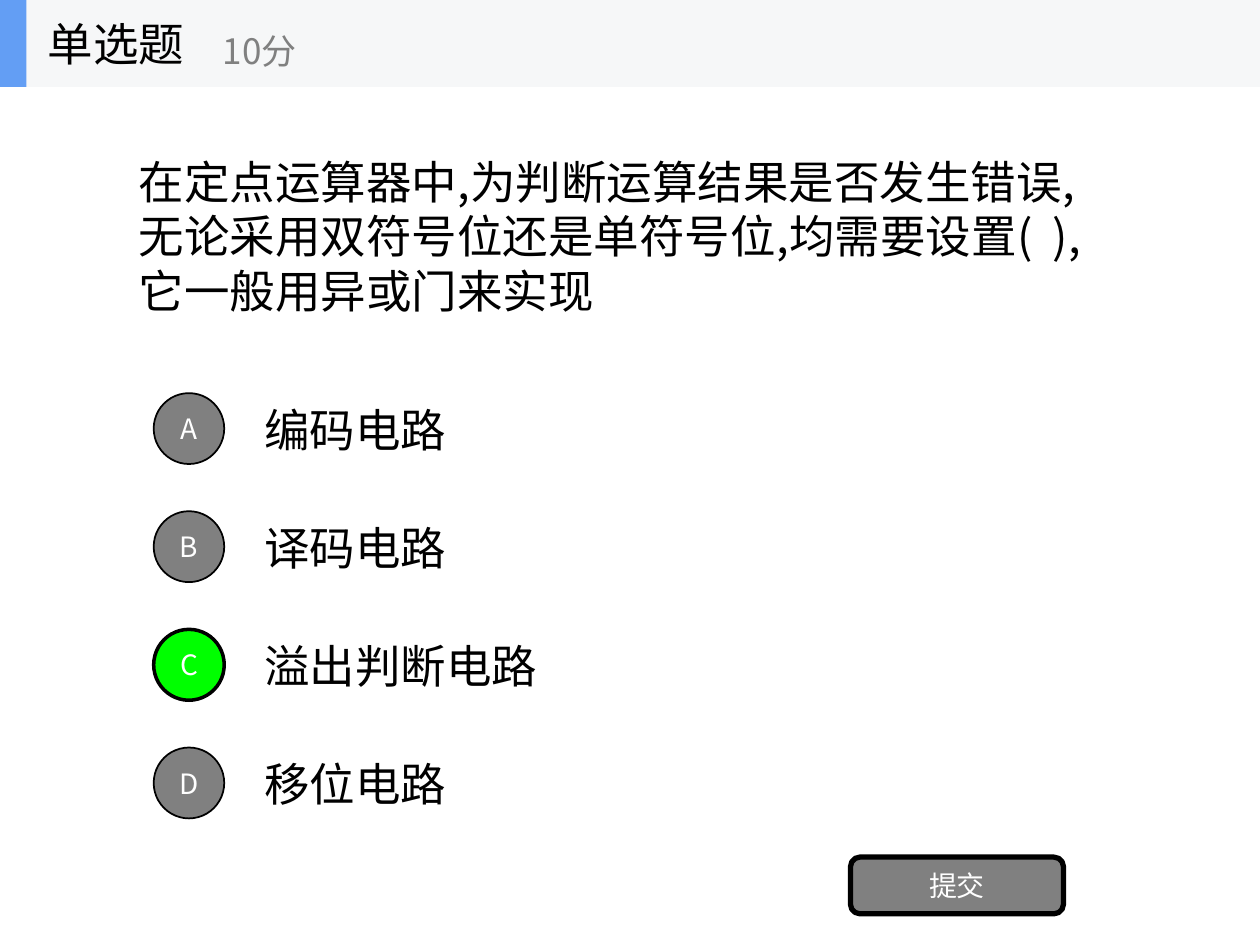
from dataclasses import dataclass
from lxml.etree import SubElement
from pptx import Presentation
from pptx.dml.color import RGBColor as Color
from pptx.enum.shapes import MSO_SHAPE as Preset
from pptx.enum.text import MSO_ANCHOR as Anchor, MSO_AUTO_SIZE as AutoSize, PP_ALIGN as Align
from pptx.oxml.ns import qn
from pptx.util import Inches, Pt


@dataclass(frozen=True)
class Theme:
    font: str = "Noto Sans CJK SC"
    ink: str = "000000"
    muted: str = "808080"
    light: str = "FFFFFF"
    correct: str = "00FF00"
    band: str = "F6F7F8"
    accent: str = "639EF4"
    large: int = 26
    medium: int = 20
    small: int = 16


THEME = Theme()
WIDTH, HEIGHT = Inches(10), Inches(7.5)
OPTIONS = ("编码电路", "译码电路", "溢出判断电路", "移位电路")
ANSWER = 2
FIRST_ROW, ROW_STEP = 41.6, 12.5
QUESTION = (
    "在定点运算器中,为判断运算结果是否发生错误,"
    "无论采用双符号位还是单符号位,均需要设置(  ),它一般用异或门来实现"
)


def assign(target, values):
    for name, value in values.items():
        setattr(target, name, value)


def percent(left, top, width, height):
    shares = (left, top, width, height)
    return [int(share * side / 100) for share, side in zip(shares, (WIDTH, HEIGHT) * 2)]


def write(shape, text, size, color, align=Align.LEFT):
    frame = shape.text_frame
    frame.text = text
    assign(frame, {
        "word_wrap": True,
        "auto_size": AutoSize.NONE,
        "vertical_anchor": Anchor.MIDDLE,
    })
    paragraph = frame.paragraphs[0]
    assign(paragraph, {"alignment": align, "space_before": Pt(0)})
    run = paragraph.runs[0]
    assign(run.font, {"name": THEME.font, "size": Pt(size)})
    run.font.color.rgb = Color.from_string(color)
    east_asian = SubElement(run.font._element, qn("a:ea"))
    east_asian.set("typeface", THEME.font)
    return paragraph


def fill_placeholder(shape, box, text):
    assign(shape, dict(zip(("left", "top", "width", "height"), percent(*box))))
    properties = write(shape, text, THEME.large, THEME.ink)._p.get_or_add_pPr()
    assign_indent = {"marL": "0", "indent": "0"}
    for name, value in assign_indent.items():
        properties.set(name, value)
    SubElement(properties, qn("a:buNone"))


def add_label(slide, box, text, size, color):
    write(slide.shapes.add_textbox(*percent(*box)), text, size, color)


def add_block(slide, preset, box, fill, outline=0):
    shape = slide.shapes.add_shape(preset, *percent(*box))
    shape.shadow.inherit = False
    shape.fill.solid()
    shape.fill.fore_color.rgb = Color.from_string(fill)
    if outline:
        shape.line.color.rgb = Color.from_string(THEME.ink)
        shape.line.width = Pt(outline)
    else:
        shape.line.fill.background()
    return shape


def add_button(slide, preset, box, text, fill, outline):
    shape = add_block(slide, preset, box, fill, outline)
    write(shape, text, THEME.small, THEME.light, Align.CENTER)


def add_option(slide, index, text):
    top = FIRST_ROW + index * ROW_STEP
    fill, outline = (THEME.correct, 2) if index == ANSWER else (THEME.muted, 1)
    add_label(slide, (20, top + 0.2, 30, 7.2), text, THEME.large, THEME.ink)
    add_button(slide, Preset.OVAL, (12.2, top, 5.6, 7.5), "ABCD"[index], fill, outline)


def add_header(slide):
    add_block(slide, Preset.RECTANGLE, (0, 0, 100, 9.2), THEME.band)
    add_block(slide, Preset.RECTANGLE, (0, 0, 2.1, 9.2), THEME.accent)
    title = slide.shapes.title
    fill_placeholder(title, (2.8, 0, 20.8, 9.2), "单选题")
    slide.shapes._spTree.append(title._element)
    add_label(slide, (16.7, 1.6, 25, 7.5), "10分", THEME.medium, THEME.muted)


def main():
    presentation = Presentation()
    assign(presentation, {"slide_width": WIDTH, "slide_height": HEIGHT})
    slide = presentation.slides.add_slide(presentation.slide_layouts[1])
    fill_placeholder(slide.placeholders[1], (10, 15.6, 79.6, 18.7), QUESTION)
    for index, text in enumerate(OPTIONS):
        add_option(slide, index, text)
    submit_box = (67.5, 90.7, 16.9, 6)
    add_button(slide, Preset.ROUNDED_RECTANGLE, submit_box, "提交", THEME.muted, 3)
    add_header(slide)
    presentation.save("out.pptx")


if __name__ == "__main__":
    main()
